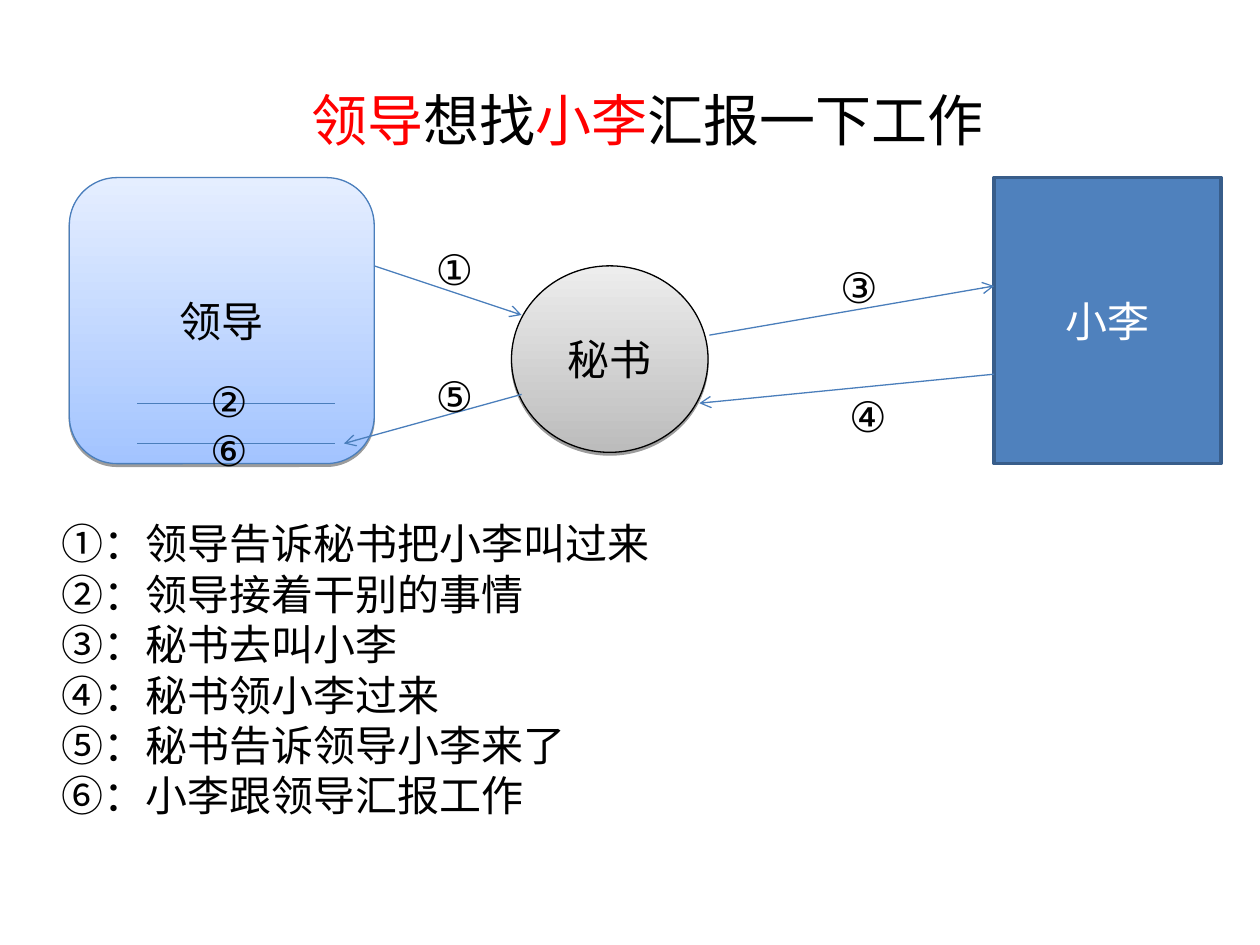
from typing import NamedTuple

from lxml.etree import SubElement
from pptx import Presentation
from pptx.dml.color import RGBColor
from pptx.enum.shapes import MSO_CONNECTOR, MSO_SHAPE
from pptx.enum.text import MSO_ANCHOR, MSO_AUTO_SIZE, PP_ALIGN
from pptx.oxml import parse_xml
from pptx.oxml.ns import nsdecls, qn
from pptx.util import Inches, Pt

BLACK, WHITE, RED = "000000", "FFFFFF", "FF0000"
ARROW_BLUE = "4A7EBB"


class Person(NamedTuple):
    name: str
    outline: MSO_SHAPE
    box: tuple[float, float, float, float]
    fills: tuple[str, ...]  # one colour, or bottom and top of a gradient
    line: str
    line_width: float
    text: str


class Step(NamedTuple):
    label: str
    label_at: tuple[float, float]
    start: tuple[float, float]
    end: tuple[float, float]
    arrow: bool
    description: str


PEOPLE = [
    Person("领导", MSO_SHAPE.ROUNDED_RECTANGLE, (0.55, 1.41, 2.42, 2.27),
           ("A3C4FF", "E5EEFF"), ARROW_BLUE, 0.75, BLACK),
    Person("小李", MSO_SHAPE.RECTANGLE, (7.89, 1.41, 1.8, 2.27),
           ("4F81BD",), "385D8A", 2, WHITE),
    Person("秘书", MSO_SHAPE.OVAL, (4.06, 2.11, 1.56, 1.48),
           ("BCBCBC", "EDEDED"), BLACK, 0.75, BLACK),
]
STEPS = [
    Step("①", (3.36, 1.88), (2.97, 2.11), (4.14, 2.5), True, "领导告诉秘书把小李叫过来"),
    Step("②", (1.57, 2.93), (1.09, 3.2), (2.66, 3.2), False, "领导接着干别的事情"),
    Step("③", (6.57, 2.03), (5.63, 2.66), (7.89, 2.27), True, "秘书去叫小李"),
    Step("④", (6.64, 3.05), (7.89, 2.97), (5.55, 3.2), True, "秘书领小李过来"),
    Step("⑤", (3.36, 2.89), (4.14, 3.13), (2.73, 3.52), True, "秘书告诉领导小李来了"),
    Step("⑥", (1.57, 3.32), (1.09, 3.52), (2.66, 3.52), False, "小李跟领导汇报工作"),
]
TITLE = [("领导", RED), ("想找", BLACK), ("小李", RED), ("汇报一下工作", BLACK)]


def rgb(color: str) -> RGBColor:
    return RGBColor.from_string(color)


def style(font, size: float, color: str, face: str = "Arial") -> None:
    font.size, font.name, font.color.rgb = Pt(size), face, rgb(color)


def place(shape, left: float, top: float, width: float, height: float) -> None:
    shape.left, shape.top = Inches(left), Inches(top)
    shape.width, shape.height = Inches(width), Inches(height)


def add_drop_shadow(shape) -> None:
    shape._element.spPr.append(parse_xml(
        f'<a:effectLst {nsdecls("a")}><a:outerShdw blurRad="0" dist="20000" dir="5400000" '
        'rotWithShape="0"><a:srgbClr val="000000"><a:alpha val="38000"/></a:srgbClr>'
        '</a:outerShdw></a:effectLst>'))


def add_person(slide, person: Person) -> None:
    shape = slide.shapes.add_shape(person.outline, *map(Inches, person.box))
    shape.line.color.rgb = rgb(person.line)
    shape.line.width = Pt(person.line_width)
    if len(person.fills) == 1:
        shape.fill.solid()
        shape.fill.fore_color.rgb = rgb(person.fills[0])
        shape.shadow.inherit = False
    else:
        shape.fill.gradient()
        shape.fill.gradient_angle = 90
        for stop, color, position in zip(shape.fill.gradient_stops, person.fills, (0, 1)):
            stop.color.rgb, stop.position = rgb(color), position
        add_drop_shadow(shape)
    frame = shape.text_frame
    frame.text = person.name
    frame.vertical_anchor = MSO_ANCHOR.MIDDLE
    frame.paragraphs[0].alignment = PP_ALIGN.CENTER
    style(frame.paragraphs[0].runs[0].font, 24, person.text, "Calibri")


def add_step(slide, step: Step) -> None:
    """Draw the step's line or arrow and its number."""
    connector = slide.shapes.add_connector(
        MSO_CONNECTOR.STRAIGHT, *map(Inches, step.start + step.end))
    connector.line.color.rgb = rgb(ARROW_BLUE)
    connector.line.width = Pt(0.75)
    if step.arrow:
        SubElement(connector.line._get_or_add_ln(), qn("a:tailEnd"), type="arrow")
    SubElement(connector._element.spPr, qn("a:effectLst"))

    number = slide.shapes.add_textbox(*map(Inches, step.label_at + (0.53, 0.5)))
    frame = number.text_frame
    frame.text = step.label
    frame.word_wrap = False
    frame.auto_size = MSO_AUTO_SIZE.SHAPE_TO_FIT_TEXT
    style(frame.paragraphs[0].runs[0].font, 24, BLACK)


def fill_title(title) -> None:
    place(title, 2.37, 0.63, 5.7, 0.64)
    frame = title.text_frame
    frame.word_wrap = True
    frame.auto_size = MSO_AUTO_SIZE.NONE
    frame.vertical_anchor = MSO_ANCHOR.TOP
    heading = frame.paragraphs[0]
    heading.alignment = PP_ALIGN.LEFT
    for words, color in TITLE:
        run = heading.add_run()
        run.text = words
        style(run.font, 32, color)


def fill_explanations(body) -> None:
    place(body, 0.39, 4.06, 9.14, 2.9)
    frame = body.text_frame
    frame.text = "\n".join(f"{step.label}：{step.description}" for step in STEPS)
    frame.word_wrap = True
    frame.auto_size = MSO_AUTO_SIZE.NONE
    frame.vertical_anchor = MSO_ANCHOR.TOP
    for paragraph in frame.paragraphs:
        properties = paragraph._p.get_or_add_pPr()
        properties.set("marL", "0")
        properties.set("indent", "0")
        SubElement(properties, qn("a:buNone"))
        paragraph.space_before = Pt(0)
        style(paragraph.runs[0].font, 24, BLACK)


def main() -> None:
    presentation = Presentation()
    presentation.slide_width, presentation.slide_height = Inches(10), Inches(7.5)
    slide = presentation.slides.add_slide(presentation.slide_layouts[1])
    fill_title(slide.shapes.title)
    fill_explanations(slide.placeholders[1])
    for person in PEOPLE:
        add_person(slide, person)
    for step in STEPS:
        add_step(slide, step)
    presentation.save("out.pptx")


if __name__ == "__main__":
    main()
